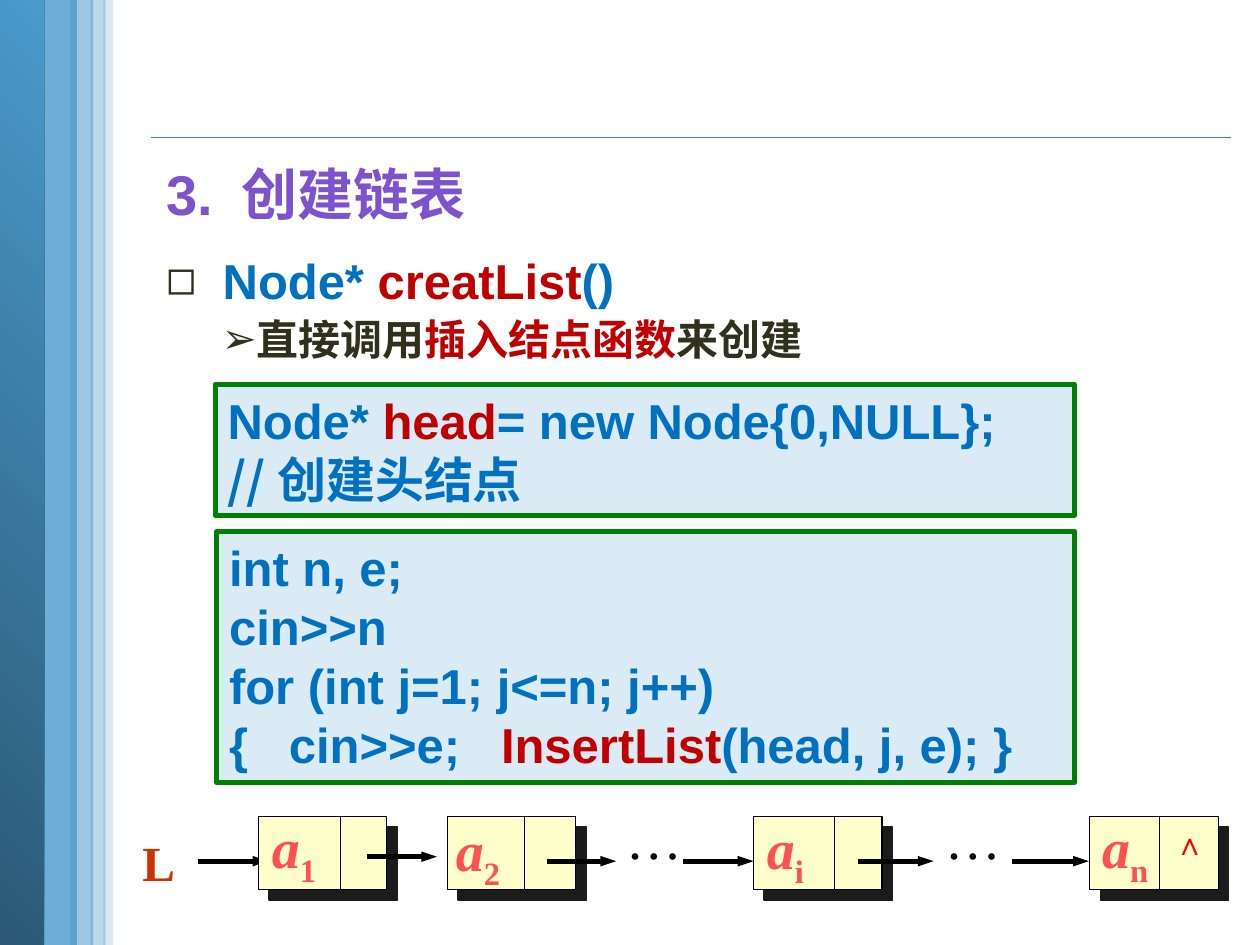
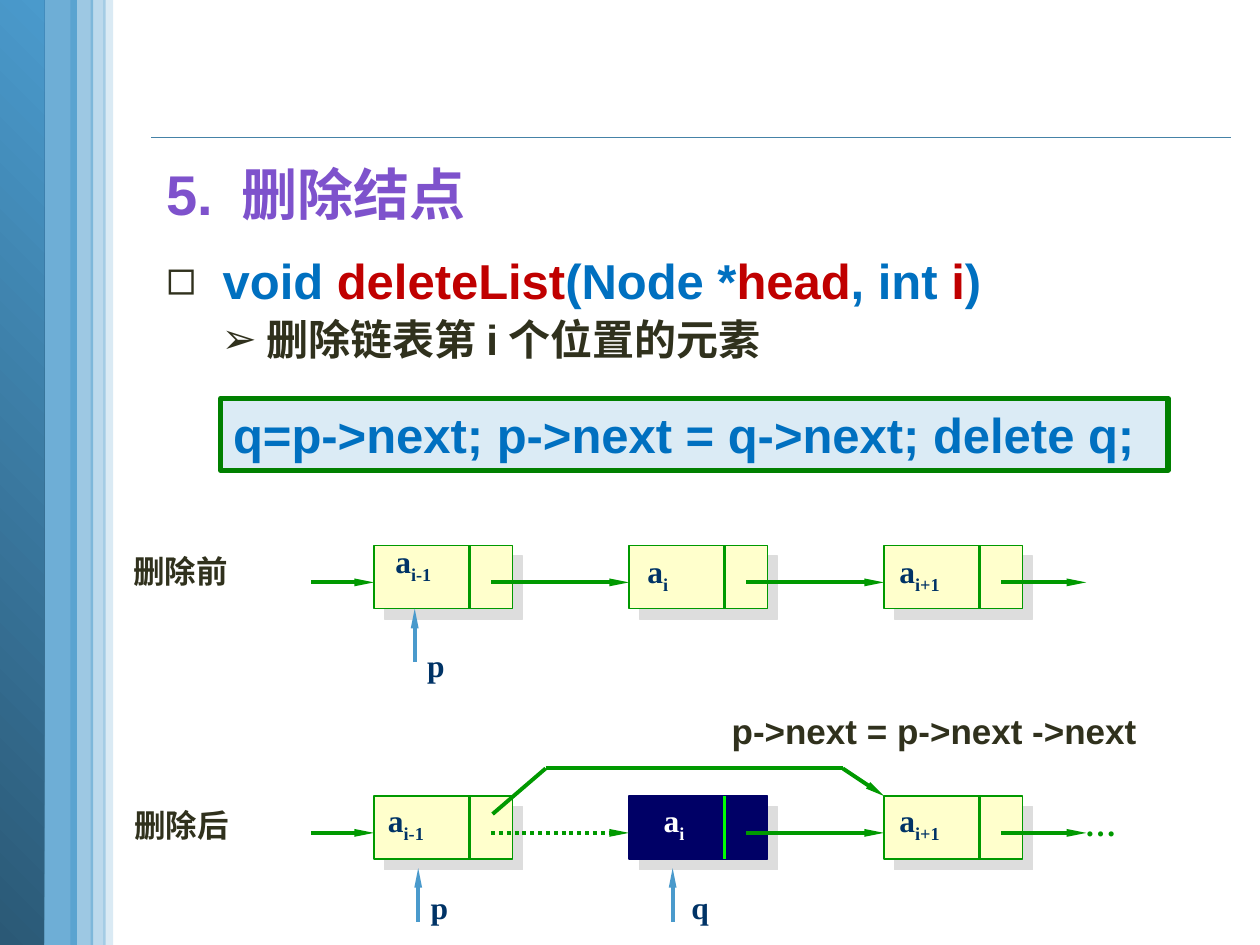
from lxml import etree
from pptx import Presentation
from pptx import util as u
from pptx.dml import color as dml
from pptx.enum import dml as line_styles, shapes, text
from pptx.oxml import ns

COLORS = {
    "sky": "4A9ACC", "deep": "2B5976", "rule": "4582A7", "heading": "7E52CC",
    "ink": "30311D", "blue": "0070C0", "red": "C00000", "panel": "DBEBF5",
    "panel_edge": "008000", "cell": "FFFFCC", "black": "000000",
    "dark_shadow": "1C1C1C", "light_shadow": "DDDDDD", "item": "FF5050",
    "null": "FF0000", "list_name": "CC3300", "green": "009900",
    "bright": "00FF00", "navy": "000066", "name": "003366", "white": "FFFFFF",
}
SANS, SERIF, CJK = "Arial", "Times New Roman", "Noto Sans CJK SC"
WIDTH, HEIGHT = 25.4, 19.05
BANDS = [(0.76, 0.79, 80), (2.08, 0.2, 20), (1.42, 0.46, 54), (1.83, 0.3, 37)]


def rgb(name):
    return dml.RGBColor.from_string(COLORS[name])


def add_xml(parent, tag, **attributes):
    return etree.SubElement(parent, ns.qn(tag), attributes)


class Painter:
    """Holds the deck style and the slide being drawn; lengths are in cm."""

    def __init__(self):
        self.deck = Presentation()
        self.deck.slide_width, self.deck.slide_height = u.Cm(WIDTH), u.Cm(HEIGHT)
        self.slide = None

    def new_slide(self, title):
        self.slide = self.deck.slides.add_slide(self.deck.slide_layouts[6])
        self.line((3.05, 2.77), (24.82, 2.77), "rule", 1)
        left, width, alpha = BANDS[0]
        self.band(left, width, alpha)
        edge = self.rect(0, 0, 0.89, HEIGHT, "deep")
        edge.fill.gradient()
        edge.fill.gradient_angle = 45
        for stop, name in zip(edge.fill.gradient_stops, ("deep", "sky")):
            stop.color.rgb = rgb(name)
        for left, width, alpha in BANDS[1:]:
            self.band(left, width, alpha)
        box = self.label((3.1, 3.1, 16.76, 1.57), [(title, "heading")], 32, SANS, wrap=True)
        box.text_frame.auto_size = text.MSO_AUTO_SIZE.NONE
        box.text_frame.vertical_anchor = text.MSO_ANCHOR.MIDDLE

    def band(self, left, width, alpha):
        shape = self.rect(left, 0, width, HEIGHT, "sky")
        tint = shape._element.spPr.find(ns.qn("a:solidFill"))[0]
        add_xml(tint, "a:alpha", val=str(alpha * 1000))

    def rect(self, left, top, width, height, fill, edge=None, weight=0.75, shadow=None):
        shape = self.slide.shapes.add_shape(
            shapes.MSO_SHAPE.RECTANGLE, *map(u.Cm, (left, top, width, height)))
        shape.shadow.inherit = False
        shape.fill.solid()
        shape.fill.fore_color.rgb = rgb(fill)
        if edge:
            shape.line.color.rgb = rgb(edge)
            shape.line.width = u.Pt(weight)
        else:
            shape.line.fill.background()
        if shadow:
            effects = shape._element.spPr.find(ns.qn("a:effectLst"))
            cast = add_xml(effects, "a:outerShdw", blurRad="0", dist=str(u.Pt(8.5)),
                           dir="2700000", algn="ctr", rotWithShape="0")
            add_xml(cast, "a:srgbClr", val=COLORS[shadow])
        return shape

    def line(self, start, end, color, weight, head=None, dotted=False):
        """Straight line; head is the arrowhead length (med or lg) at its end."""
        link = self.slide.shapes.add_connector(
            shapes.MSO_CONNECTOR.STRAIGHT, *map(u.Cm, (*start, *end)))
        link.line.color.rgb = rgb(color)
        link.line.width = u.Pt(weight)
        if dotted:
            link.line.dash_style = line_styles.MSO_LINE.ROUND_DOT
        properties = link._element.spPr
        if head:
            add_xml(properties.find(ns.qn("a:ln")), "a:tailEnd",
                    type="triangle", w="sm", len=head)
        add_xml(properties, "a:effectLst")

    def spans(self, para, pieces, size, font, bold=True):
        """Each piece is (text, colour) with an optional "sub" or "italic"."""
        for words, color, *marks in pieces:
            span = para.add_run()
            span.text = words
            span.font.size, span.font.name = u.Pt(size), font
            span.font.bold, span.font.italic = bold, "italic" in marks
            span.font.color.rgb = rgb(color)
            properties = span._r.get_or_add_rPr()
            add_xml(properties, "a:ea", typeface=CJK)
            if "sub" in marks:
                properties.set("baseline", "-25000")

    def label(self, place, pieces, size, font=SERIF, bold=True, wrap=False):
        box = self.slide.shapes.add_textbox(*map(u.Cm, place))
        box.text_frame.word_wrap = wrap
        box.text_frame.auto_size = text.MSO_AUTO_SIZE.SHAPE_TO_FIT_TEXT
        self.spans(box.text_frame.paragraphs[0], pieces, size, font, bold)
        return box

    def outline(self, signature, remark, remark_indent):
        box = self.label((3.1, 4.8, 21.23, 2.69), [], 28, wrap=True)
        first = box.text_frame.paragraphs[0]
        second = box.text_frame.add_paragraph()
        for para, level, bullet, start, indent, pieces, size in (
                (first, 1, "◻", 0, 1.14, signature, 28),
                (second, 2, "➢", 1.12, remark_indent, remark, 24)):
            para.level, para.line_spacing = level, 1.1
            properties = para._p.get_or_add_pPr()
            properties.set("marL", str(u.Cm(indent)))
            properties.set("indent", str(u.Cm(start - indent)))
            add_xml(add_xml(properties, "a:buClr"), "a:srgbClr", val=COLORS["ink"])
            add_xml(properties, "a:buFont", typeface=SANS)
            add_xml(properties, "a:buChar", char=bullet)
            self.spans(para, pieces, size, SANS)

    def code(self, place, rows):
        frame = self.rect(*place, "panel", "panel_edge", 3).text_frame
        frame.word_wrap = True
        frame.vertical_anchor = text.MSO_ANCHOR.TOP
        for number, pieces in enumerate(rows):
            para = frame.add_paragraph() if number else frame.paragraphs[0]
            para.alignment = text.PP_ALIGN.LEFT
            font = CJK if pieces[0][0].startswith("//") else SANS
            self.spans(para, pieces, 28, font)

    def node(self, left, top, size, split, edge, shadow, fill="cell",
             divider=None, weight=0.75):
        """List node: a data cell and a pointer cell, divided at x = split."""
        width, height = size
        self.rect(left, top, width, height, fill, edge, 0.75, shadow)
        self.line((split, top), (split, top + height), divider or edge, weight)


def draw_create(page):
    page.new_slide("3. 创建链表")
    page.outline([("Node* ", "blue"), ("creatList", "red"), ("()", "blue")],
                 [("直接调用", "ink"), ("插入结点函数", "red"), ("来创建", "ink")], 1.83)
    page.code((4.34, 7.75, 17.32, 2.64), [
        [("Node* ", "blue"), ("head", "red"), ("= new Node{0,NULL};", "blue")],
        [("//创建头结点", "blue")]])
    page.code((4.37, 10.72, 17.3, 5.05), [
        [("int n, e;", "blue")],
        [("cin>>n", "blue")],
        [("for (int j=1; j<=n; j++)", "blue")],
        [("{   cin>>e;   ", "blue"), ("InsertList", "red"), ("(head, j, e); }", "blue")]])

    arrow_y = 17.36
    page.label((2.62, 16.66, 1.17, 1.45), [("L", "list_name")], 28)
    page.line((3.99, arrow_y), (5.41, arrow_y), "black", 3, "med")
    for left, split, name_left, name_top, name_width, index in (
            (5.21, 6.86, 5.23, 16.26, 1.45, "1"), (9.02, 10.57, 8.94, 16.31, 1.45, "2"),
            (15.19, 16.83, 15.21, 16.28, 1.3, "i"), (21.97, 23.37, 21.97, 16.26, 1.5, "n")):
        page.node(left, 16.46, (2.59, 1.47), split, "black", "dark_shadow")
        page.label((name_left, name_top, name_width, 1.6),
                   [("a", "item", "italic"), (index, "item", "sub")], 32)
    page.label((23.42, 16.48, 1.14, 1.27), [("∧", "null")], 18, wrap=True)
    page.line((7.39, 17.27), (8.81, 17.27), "black", 3, "med")
    for start, end in ((11.02, 12.42), (13.77, 15.19), (17.3, 18.82), (20.4, 21.95)):
        page.line((start, arrow_y), (end, arrow_y), "black", 3, "med")
    for left in (12.37, 18.8):
        page.label((left, 16.08, 1.4, 1.6), [("…", "black")], 32, bold=False, wrap=True)


def draw_chain(page, top, deleted):
    """Row of three nodes; in the deleted row the middle one is bypassed."""
    first, step = 7.54, 5.14
    arrow_y = top + 0.74
    page.line((6.27, arrow_y), (first, arrow_y), "green", 2.25, "lg")
    for number in range(3):
        left = first + number * step
        removed = deleted and number == 1
        page.node(left, top, (2.79, 1.27), left + 1.93, "navy" if removed else "green",
                  "light_shadow", "navy" if removed else "cell",
                  "bright" if removed else "green", 1.5)
    for number in range(3):
        left = first + number * step
        end = left + step if number < 2 else 21.9
        page.line((left + 2.36, arrow_y), (end, arrow_y), "green", 2.25, "lg",
                  dotted=deleted and number == 0)


def name_node(page, left, top, width, index, color="name"):
    return page.label((left, top, width, 1.27), [("a", color), (index, color, "sub")], 18)


def point_at(page, x, tip, name, name_left, name_top):
    page.line((x, tip + 1.08), (x, tip), "sky", 2.25, "lg")
    page.label((name_left, name_top, 0.99, 1.27), [(name, "name")], 18)


def draw_delete(page):
    page.new_slide("5. 删除结点")
    page.outline([("void ", "blue"), ("deleteList", "red"), ("(Node *", "blue"),
                  ("head", "red"), (", int ", "blue"), ("i", "red"), (")", "blue")],
                 [("删除链表第i个位置的元素", "ink")], 2.02)
    page.code((4.45, 8.03, 19.1, 1.45),
              [[("q=p->next; p->next = q->next; delete q;", "blue")]])

    page.label((2.44, 11, 4.24, 1.27), [("删除前", "ink")], 18, SANS, wrap=True)
    draw_chain(page, 11, deleted=False)
    name_node(page, 7.72, 10.8, 1.57, "i-1")
    name_node(page, 12.8, 11, 1.09, "i")
    name_node(page, 17.88, 11, 1.7, "i+1")
    point_at(page, 8.36, 12.27, "p", 8.36, 12.9)

    page.label((2.46, 16.13, 3.18, 1.27), [("删除后", "ink")], 18, SANS, wrap=True)
    draw_chain(page, 16.05, deleted=True)
    name_node(page, 7.57, 16.03, 1.57, "i-1")
    removed = name_node(page, 13.13, 16.03, 1.09, "i", "white")
    removed.fill.solid()
    removed.fill.fore_color.rgb = rgb("navy")
    name_node(page, 17.88, 16.03, 1.7, "i+1")
    page.label((21.62, 16.1, 1.35, 1.27), [("…", "green")], 18)
    point_at(page, 8.43, 17.5, "p", 8.43, 17.78)
    point_at(page, 13.56, 17.5, "q", 13.69, 17.78)
    bypass = [(9.93, 16.41), (11, 15.49), (16.99, 15.49), (17.83, 16.05)]
    for start, end in zip(bypass, bypass[1:]):
        page.line(start, end, "green", 2.25, "lg" if end == bypass[-1] else None)
    page.label((14.5, 14.17, 10.8, 1.09), [("p->next = p->next ->next", "ink")],
               20, SANS, wrap=True)


def main():
    page = Painter()
    draw_create(page)
    draw_delete(page)
    page.deck.save("out.pptx")


if __name__ == "__main__":
    main()
